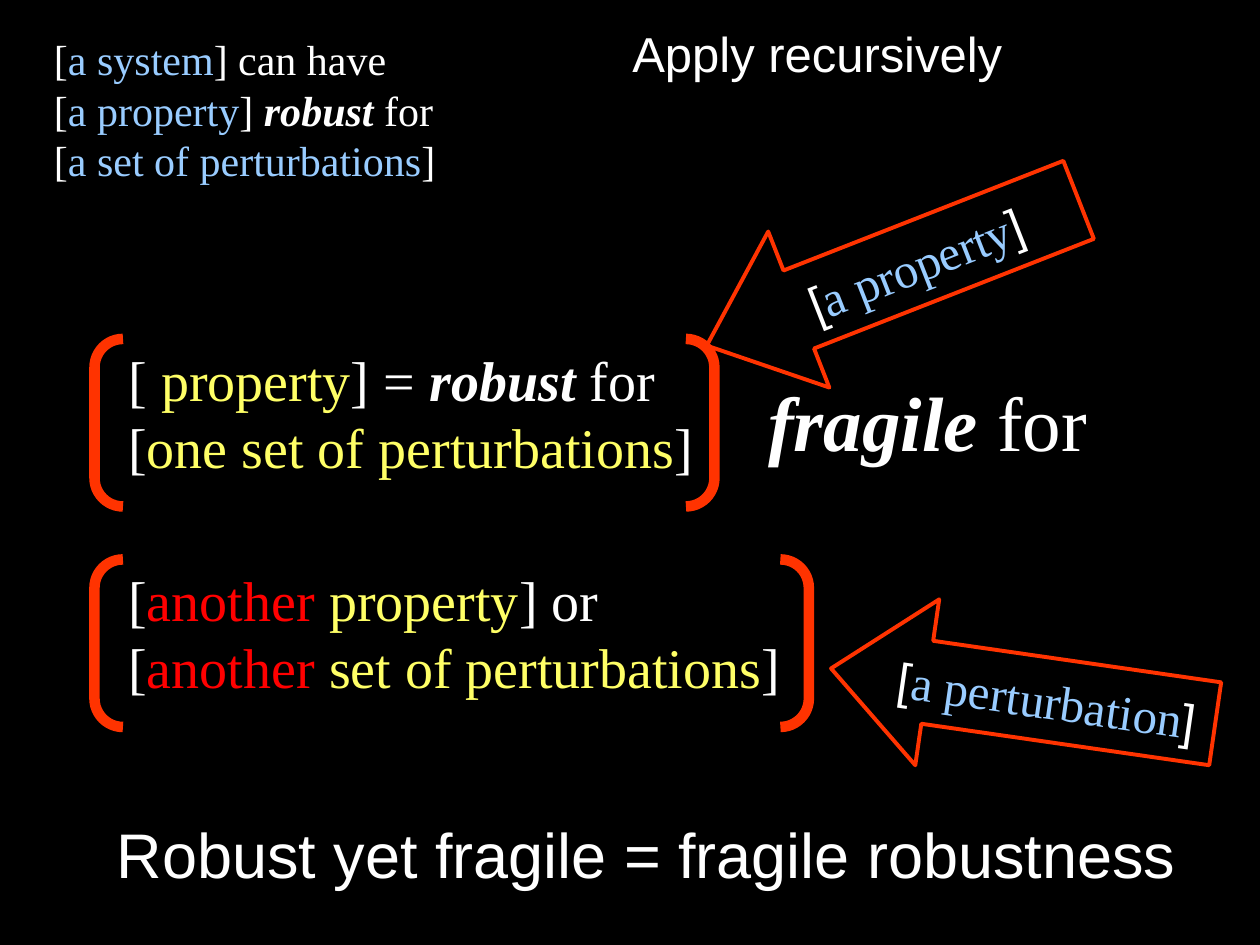
from pptx import Presentation
from pptx import util as u
from pptx.dml.color import RGBColor
from pptx.enum import shapes, text

WHITE, BLUE, YELLOW, RED, ORANGE = "FFFFFF", "99CCFF", "FFFF66", "FF0000", "FF3300"
SERIF, SANS = "Times New Roman", "Arial"
STRONG = {"bold": True, "italic": True}

# Text boxes: place, size, font, lines of (words, colour, format)
TEXTS = [
    ((0.33, 0.22, 5.58, 1.3), 24, SERIF, [
        [("[", WHITE), ("a system", BLUE), ("] can have", WHITE)],
        [("[", WHITE), ("a property", BLUE), ("] ", WHITE),
         ("robust", WHITE, STRONG), (" for", WHITE)],
        [("[", WHITE), ("a set of perturbations", BLUE), ("]", WHITE)]]),
    ((0.83, 6.42, 8.8, 0.7), 36, SANS, [
        [("Robust yet fragile = fragile robustness", WHITE)]]),
    ((0.92, 2.69, 5.58, 1.17), 32, SERIF, [
        [("[ ", WHITE), ("property", YELLOW), ("] = ", WHITE),
         ("robust", WHITE, STRONG), (" for", WHITE)],
        [("[", WHITE), ("one set of perturbations", YELLOW), ("]", WHITE)]]),
    ((6, 2.92, 3.17, 0.84), 44, SERIF, [
        [("fragile", WHITE, STRONG), (" for", WHITE)]]),
    ((0.92, 4.44, 6.33, 1.17), 32, SERIF, [
        [("[", WHITE), ("another ", RED), ("property", YELLOW), ("] or", WHITE)],
        [("[", WHITE), ("another", RED), (" set of perturbations", YELLOW),
         ("]", WHITE)]]),
    ((4.92, 0.14, 3.3, 0.57), 28, SANS, [
        [("Apply recursively", WHITE)]]),
]
# Brackets: place
BRACKETS = [(0.75, 2.69, 4.92, 1.33), (0.75, 4.44, 5.67, 1.33)]
# Arrows: place, rotation, head length, label
ARROWS = [
    ((5.5, 1.5, 3.17, 1.33), 338.6, 0.59, "a property"),
    ((6.58, 4.86, 3.08, 1.33), 8.2, 0.58, "a perturbation"),
]


def colour(value):
    return RGBColor.from_string(value)


def write(frame, size, font, lines, wrap=True, align=None):
    frame.word_wrap = wrap
    for index, line in enumerate(lines):
        para = frame.paragraphs[0] if index == 0 else frame.add_paragraph()
        para.alignment = align
        for words, tint, *extra in line:
            span = para.add_run()
            span.text = words
            span.font.color.rgb = colour(tint)
            style = {"size": u.Pt(size), "name": font}
            for part in extra:
                style.update(part)
            for key, value in style.items():
                setattr(span.font, key, value)


def add_outline(page, kind, place, weight, adjustments):
    shape = page.shapes.add_shape(kind, *map(u.Inches, place))
    shape.shadow.inherit = False
    shape.fill.background()
    shape.line.color.rgb = colour(ORANGE)
    shape.line.width = u.Pt(weight)
    for index, value in enumerate(adjustments):
        shape.adjustments[index] = value
    return shape


deck = Presentation()
deck.slide_width, deck.slide_height = u.Inches(10), u.Inches(7.5)
page = deck.slides.add_slide(deck.slide_layouts[6])
page.background.fill.solid()
page.background.fill.fore_color.rgb = colour("000000")

# Statements
for place, size, font, lines in TEXTS:
    box = page.shapes.add_textbox(*map(u.Inches, place))
    write(box.text_frame, size, font, lines)
    box.text_frame.auto_size = text.MSO_AUTO_SIZE.SHAPE_TO_FIT_TEXT

# Brackets around the two statements
for place in BRACKETS:
    add_outline(page, shapes.MSO_SHAPE.DOUBLE_BRACKET, place, 6, [0.17])

# Labelled arrows
for place, rotation, head, label in ARROWS:
    arrow = add_outline(page, shapes.MSO_SHAPE.LEFT_ARROW, place, 2.25, [0.5, head])
    arrow.rotation = rotation
    arrow.text_frame.vertical_anchor = text.MSO_ANCHOR.MIDDLE
    # Sans brackets around a serif label
    line = [("[", WHITE), (label, BLUE, {"name": SERIF}), ("]", WHITE)]
    write(arrow.text_frame, 28, SANS, [line], False, text.PP_ALIGN.CENTER)

deck.save("out.pptx")
